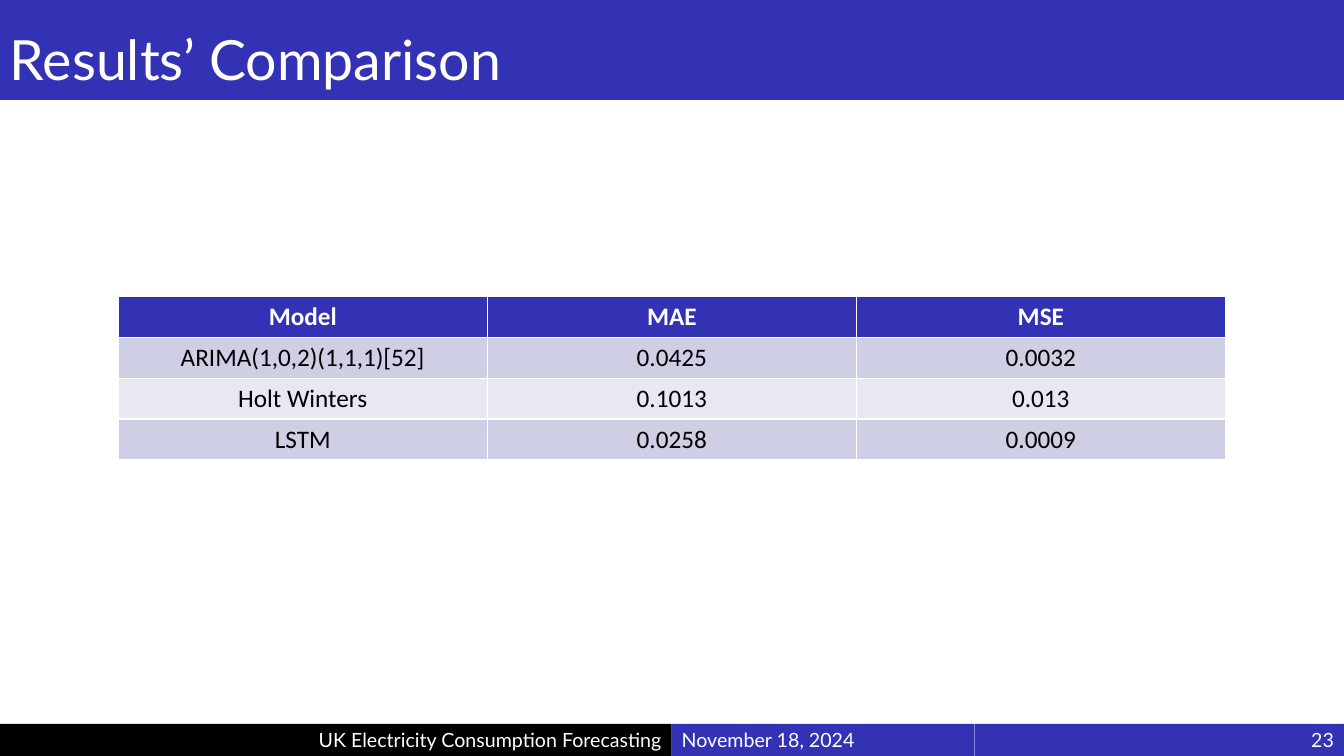
"""Build the slide comparing the forecasting models' errors."""
from pptx import Presentation
from pptx.dml.color import RGBColor
from pptx.enum.shapes import MSO_SHAPE
from pptx.enum.text import MSO_ANCHOR, MSO_AUTO_SIZE, PP_ALIGN
from pptx.util import Cm, Pt

RECTANGLE = MSO_SHAPE.RECTANGLE
MIDDLE = MSO_ANCHOR.MIDDLE
NO_AUTOFIT = MSO_AUTO_SIZE.NONE
LEFT, CENTER, RIGHT = PP_ALIGN.LEFT, PP_ALIGN.CENTER, PP_ALIGN.RIGHT
BLUE, BLACK, WHITE = "3331B4", "000000", "FFFFFF"
BANDS = ("E8E8F2", "CECEE5")


def paint(fill, color):
    fill.solid()
    fill.fore_color.rgb = RGBColor.from_string(color)


def style_text(paragraph, font_name, size, color, alignment, bold=False):
    paragraph.alignment = alignment
    paragraph.font.name = font_name
    paragraph.font.size = Pt(size)
    paragraph.font.bold = bold
    paragraph.font.color.rgb = RGBColor.from_string(color)


prs = Presentation()
prs.slide_width, prs.slide_height = Cm(33.87), Cm(19.05)
slide = prs.slides.add_slide(prs.slide_layouts[5])

title = slide.shapes.title
title.left, title.top, title.width, title.height = Cm(0), Cm(0), Cm(33.87), Cm(2.52)
paint(title.fill, BLUE)
heading = title.text_frame
heading.text = "Results’ Comparison"
heading.auto_size = NO_AUTOFIT
heading.vertical_anchor = MIDDLE
heading.margin_left = heading.margin_right = Cm(0.25)
heading.margin_top, heading.margin_bottom = Cm(0.76), Cm(0.13)
heading.paragraphs[0].line_spacing = 0.9
style_text(heading.paragraphs[0], "Lato", 39.6, WHITE, LEFT)

results = [
    ("Model", "MAE", "MSE"),
    ("ARIMA(1,0,2)(1,1,1)[52]", "0.0425", "0.0032"),
    ("Holt Winters", "0.1013", "0.013"),
    ("LSTM", "0.0258", "0.0009"),
]
comparison = slide.shapes.add_table(
    len(results), len(results[0]), Cm(2.98), Cm(7.47), Cm(27.9), Cm(4.12)
).table
for row_index, result in enumerate(results):
    is_header = row_index == 0
    for column_index, value in enumerate(result):
        cell = comparison.cell(row_index, column_index)
        cell.text = value
        paint(cell.fill, BLUE if is_header else BANDS[row_index % 2])
        style_text(cell.text_frame.paragraphs[0], "Calibri", 18,
                   WHITE if is_header else BLACK, CENTER, is_header)

footer_parts = [
    ("November 18, 2024", 16.93, 7.63, BLUE, LEFT),
    ("UK Electricity Consumption Forecasting", 0, 16.93, BLACK, RIGHT),
    ("23", 24.56, 9.31, BLUE, RIGHT),
]
for label, left, width, color, alignment in footer_parts:
    footer = slide.shapes.add_shape(RECTANGLE, Cm(left), Cm(18.24), Cm(width), Cm(0.81))
    footer.shadow.inherit = False
    paint(footer.fill, color)
    footer.line.fill.background()
    footer.text_frame.text = label
    footer.text_frame.word_wrap = True
    footer.text_frame.vertical_anchor = MIDDLE
    style_text(footer.text_frame.paragraphs[0], "Lato", 14, WHITE, alignment)

prs.save("out.pptx")
